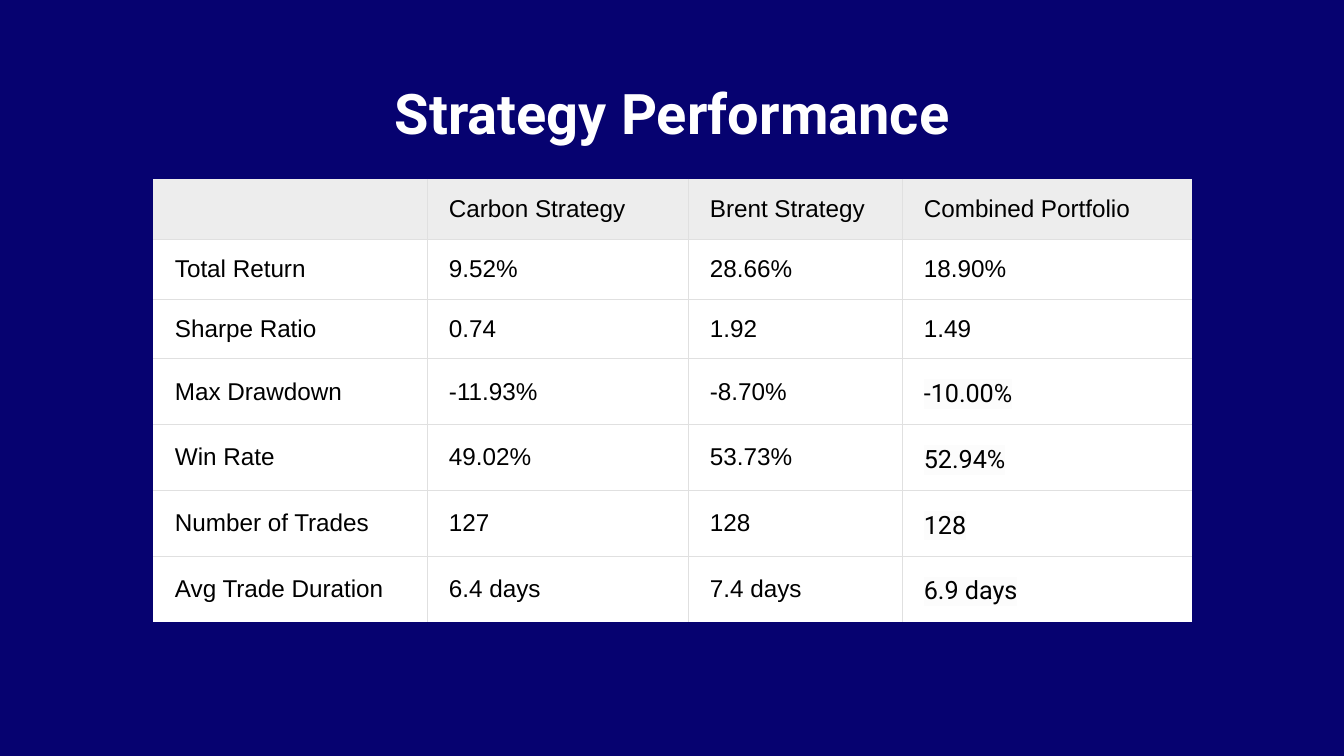
from lxml import etree
from pptx import Presentation
from pptx.dml.color import RGBColor
from pptx.enum.text import MSO_ANCHOR, MSO_AUTO_SIZE, PP_ALIGN
from pptx.oxml.ns import qn
from pptx.util import Pt

MIDDLE, TOP = MSO_ANCHOR.MIDDLE, MSO_ANCHOR.TOP
CENTER = PP_ALIGN.CENTER
NO_AUTOFIT = MSO_AUTO_SIZE.NONE
PX = 914400 / 134.4

# Content
TITLE = "Strategy Performance"
ROWS = [
    ("", "Carbon Strategy", "Brent Strategy", "Combined Portfolio"),
    ("Total Return", "9.52%", "28.66%", "18.90%"),
    ("Sharpe Ratio", "0.74", "1.92", "1.49"),
    ("Max Drawdown", "-11.93%", "-8.70%", "-10.00%"),
    ("Win Rate", "49.02%", "53.73%", "52.94%"),
    ("Number of Trades", "127", "128", "128"),
    ("Avg Trade Duration", "6.4 days", "7.4 days", "6.9 days"),
]

# Format
COLORS = {
    "background": "060270", "title": "FFFFFF", "text": "000000",
    "header": "EDEDED", "body": "FFFFFF", "border": "E0E0E0",
    "highlight": "FCFCFC",
}
TITLE_FONT = {"name": "Roboto", "size": Pt(30), "bold": True}
CELL_FONT = {"name": "Arial", "size": Pt(13)}
MARKED_FONT = {"name": "Roboto", "size": Pt(13.5)}
FIRST_MARKED_ROW = 3
TITLE_BOX = {"left": 106, "top": 66, "width": 1133, "height": 85}
TABLE_LEFT, TABLE_TOP, ROW_HEIGHT = 153, 179, 60
COLUMN_WIDTHS = [274, 261, 214, 290]
MARGIN_X, MARGIN_Y = 22, 16
BORDER_WIDTH = Pt(0.44)


def px(value):
    return round(value * PX)


def rgb(name):
    return RGBColor.from_string(COLORS[name])


def set_all(target, values):
    for name, value in values.items():
        setattr(target, name, value)


def add_color(parent, name):
    etree.SubElement(parent, qn("a:srgbClr"), val=COLORS[name])


def set_borders(cell, visible_sides):
    properties = cell._tc.get_or_add_tcPr()
    for side in "LRTB":
        line = etree.SubElement(properties, qn(f"a:ln{side}"), w=str(BORDER_WIDTH))
        if side in visible_sides:
            add_color(etree.SubElement(line, qn("a:solidFill")), "border")
        else:
            etree.SubElement(line, qn("a:noFill"))


def highlight(run):
    mark = etree.Element(qn("a:highlight"))
    add_color(mark, "highlight")
    run._r.rPr.find(qn("a:latin")).addprevious(mark)


def write_cell(cell, text, marked):
    set_all(cell, {
        "vertical_anchor": MIDDLE,
        "margin_left": px(MARGIN_X), "margin_right": px(MARGIN_X),
        "margin_top": px(MARGIN_Y), "margin_bottom": px(MARGIN_Y),
    })
    paragraph = cell.text_frame.paragraphs[0]
    run = paragraph.add_run()
    run.text = text
    set_all(run.font, MARKED_FONT if marked else CELL_FONT)
    run.font.color.rgb = rgb("text")
    if marked:
        paragraph.line_spacing = 1.15
        highlight(run)


# Slide and background
presentation = Presentation()
presentation.slide_width, presentation.slide_height = px(1344), px(756)
slide = presentation.slides.add_slide(presentation.slide_layouts[5])
slide.background.fill.solid()
slide.background.fill.fore_color.rgb = rgb("background")

# Title
title = slide.shapes.title
set_all(title, {name: px(value) for name, value in TITLE_BOX.items()})
title.text_frame.text = TITLE
set_all(title.text_frame, {
    "vertical_anchor": TOP, "auto_size": NO_AUTOFIT, "word_wrap": True,
    **{f"margin_{side}": px(13) for side in ("left", "right", "top", "bottom")},
})
paragraph = title.text_frame.paragraphs[0]
paragraph.alignment = CENTER
set_all(paragraph.runs[0].font, TITLE_FONT)
paragraph.runs[0].font.color.rgb = rgb("title")

# Performance table
last_row, last_column = len(ROWS) - 1, len(COLUMN_WIDTHS) - 1
table = slide.shapes.add_table(
    len(ROWS), len(COLUMN_WIDTHS), px(TABLE_LEFT), px(TABLE_TOP),
    px(sum(COLUMN_WIDTHS)), px(ROW_HEIGHT * len(ROWS))).table
set_all(table, {"first_row": False, "horz_banding": False})
for column, width in zip(table.columns, COLUMN_WIDTHS):
    column.width = px(width)

for row_index, values in enumerate(ROWS):
    table.rows[row_index].height = px(ROW_HEIGHT)
    for column_index, text in enumerate(values):
        cell = table.cell(row_index, column_index)
        # Only the inner grid lines are drawn
        inner = {"L": column_index > 0, "R": column_index < last_column,
                 "T": row_index > 0, "B": row_index < last_row}
        set_borders(cell, [side for side, shown in inner.items() if shown])
        cell.fill.solid()
        cell.fill.fore_color.rgb = rgb("body" if row_index else "header")
        if text:
            marked = column_index == last_column and row_index >= FIRST_MARKED_ROW
            write_cell(cell, text, marked)

presentation.save("out.pptx")
